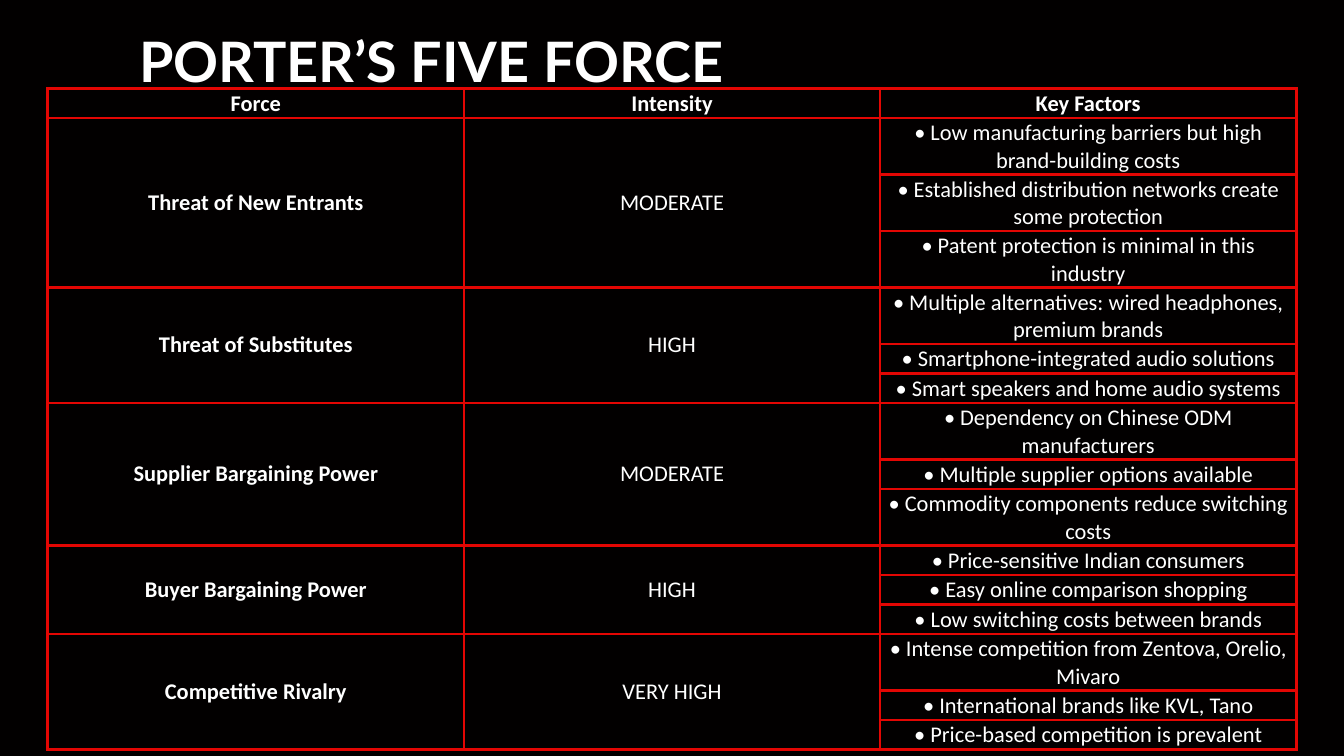
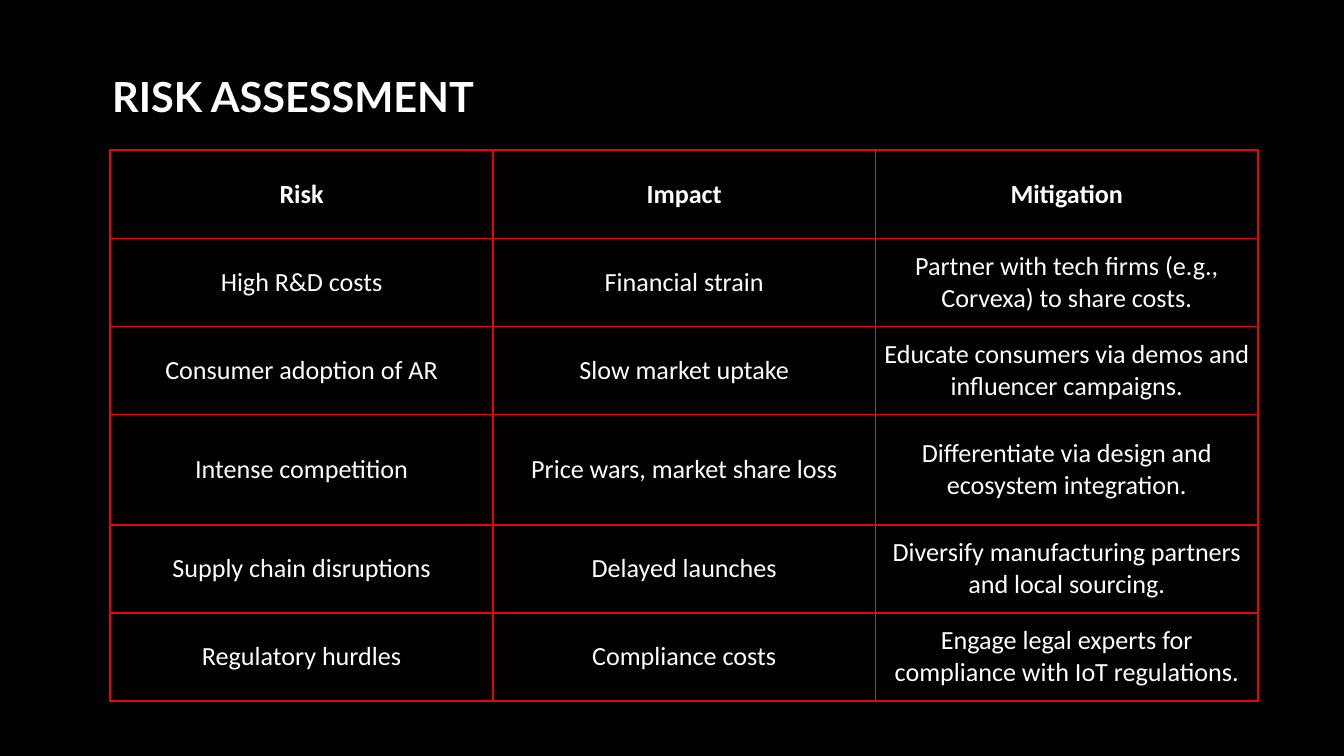
from itertools import product

from lxml.etree import SubElement
from pptx import Presentation
from pptx.dml.color import RGBColor
from pptx.enum.text import MSO_ANCHOR as Anchor, MSO_AUTO_SIZE as AutoSize, PP_ALIGN as Align
from pptx.oxml.ns import qn
from pptx.util import Inches, Pt

BLACK, WHITE, RED, GREY = "020000", "FFFFFF", "E30603", "595959"
TITLE_FONT, TABLE_FONT = "Lato", "Calibri"
TITLE_LEADING = 1.4

FORCE_HEADINGS = ["Force", "Intensity", "Key Factors"]
ONE_LINE, TWO_LINES = 0.41, 0.79
# Force, intensity, and each key factor with the height of its row
FORCES = [
    ("Threat of New Entrants", "MODERATE", [
        ("Low manufacturing barriers but high brand-building costs", TWO_LINES),
        ("Established distribution networks create some protection", TWO_LINES),
        ("Patent protection is minimal in this industry", TWO_LINES)]),
    ("Threat of Substitutes", "HIGH", [
        ("Multiple alternatives: wired headphones, premium brands", TWO_LINES),
        ("Smartphone-integrated audio solutions", ONE_LINE),
        ("Smart speakers and home audio systems", ONE_LINE)]),
    ("Supplier Bargaining Power", "MODERATE", [
        ("Dependency on Chinese ODM manufacturers", TWO_LINES),
        ("Multiple supplier options available", ONE_LINE),
        ("Commodity components reduce switching costs", TWO_LINES)]),
    ("Buyer Bargaining Power", "HIGH", [
        ("Price-sensitive Indian consumers", ONE_LINE),
        ("Easy online comparison shopping", ONE_LINE),
        ("Low switching costs between brands", ONE_LINE)]),
    ("Competitive Rivalry", "VERY HIGH", [
        ("Intense competition from Zentova, Orelio, Mivaro", TWO_LINES),
        ("International brands like KVL, Tano", ONE_LINE),
        ("Price-based competition is prevalent", ONE_LINE)]),
]

RISK_HEADINGS = ["Risk", "Impact", "Mitigation"]
RISKS = [
    ("High R&D costs", "Financial strain",
     "Partner with tech firms (e.g., Corvexa) to share costs."),
    ("Consumer adoption of AR", "Slow market uptake",
     "Educate consumers via demos and influencer campaigns."),
    ("Intense competition", "Price wars, market share loss",
     "Differentiate via design and ecosystem integration."),
    ("Supply chain disruptions", "Delayed launches",
     "Diversify manufacturing partners and local sourcing."),
    ("Regulatory hurdles", "Compliance costs",
     "Engage legal experts for compliance with IoT regulations."),
]
RISK_ROW_HEIGHTS = [1.32, 1.31, 1.31, 1.64, 1.31, 1.31]


def color(value):
    return RGBColor.from_string(value)


def add_span(para, text, font, size, bold):
    span = para.add_run()
    span.text = text
    span.font.name = font
    span.font.size = Pt(size)
    span.font.bold = bold
    span.font.color.rgb = color(WHITE)


def add_page(deck):
    page = deck.slides.add_slide(deck.slide_layouts[6])
    page.background.fill.solid()
    page.background.fill.fore_color.rgb = color(BLACK)
    return page


def add_title(page, text, box, size):
    frame = page.shapes.add_textbox(*map(Inches, box)).text_frame
    frame.word_wrap = True
    frame.auto_size = AutoSize.SHAPE_TO_FIT_TEXT
    frame.margin_left = frame.margin_right = frame.margin_top = frame.margin_bottom = 0
    para = frame.paragraphs[0]
    para.line_spacing = Pt(size * TITLE_LEADING)
    add_span(para, text, TITLE_FONT, size, True)


def set_borders(cell, width, colors):
    """Draw the left, right, top and bottom borders in the given colours."""
    properties = cell._tc.get_or_add_tcPr()
    for index, (side, value) in enumerate(zip("LRTB", colors)):
        line = SubElement(properties, qn(f"a:ln{side}"), w=str(Pt(width)))
        fill = SubElement(line, qn("a:solidFill"))
        SubElement(fill, qn("a:srgbClr"), val=value)
        properties.insert(index, line)


def add_grid(page, box, row_heights, columns, border, inset):
    """Add an unfilled table of equal columns with red borders."""
    table = page.shapes.add_table(len(row_heights), columns, *map(Inches, box)).table
    table.first_row = table.horz_banding = False
    for column in table.columns:
        column.width = Inches(box[2] / columns)
    for row, height in zip(table.rows, row_heights):
        row.height = Inches(height)
    for cell in table.iter_cells():
        cell.fill.background()
        cell.vertical_anchor = Anchor.MIDDLE
        cell.margin_left = cell.margin_right = Inches(inset)
        cell.margin_top = cell.margin_bottom = Inches(inset / 2)
        set_borders(cell, border, [RED] * 4)
    return table


def write_cell(cell, text, size, bold=False):
    para = cell.text_frame.paragraphs[0]
    para.alignment = Align.CENTER
    add_span(para, text, TABLE_FONT, size, bold)


def write_headings(table, headings, size):
    for column, heading in enumerate(headings):
        write_cell(table.cell(0, column), heading, size, True)


def add_force_table(page, box, size=24):
    heights = [ONE_LINE] + [height for force in FORCES for _, height in force[2]]
    table = add_grid(page, box, heights, len(FORCE_HEADINGS), 3, 0.04)
    write_headings(table, FORCE_HEADINGS, size)
    top = 1
    for force, intensity, factors in FORCES:
        bottom = top + len(factors) - 1
        for column, text in enumerate((force, intensity)):
            table.cell(top, column).merge(table.cell(bottom, column))
            write_cell(table.cell(top, column), text, size, column == 0)
        for row, (factor, _) in enumerate(factors, top):
            write_cell(table.cell(row, 2), f"• {factor}", size)
        top = bottom + 1


def add_risk_table(page, box, size=28):
    table = add_grid(page, box, RISK_ROW_HEIGHTS, len(RISK_HEADINGS), 2.25, 0.06)
    write_headings(table, RISK_HEADINGS, size)
    for row, texts in enumerate(RISKS, 1):
        for column, text in enumerate(texts):
            write_cell(table.cell(row, column), text, size)
    # The divider before the mitigation column is thin and grey
    for row, (column, side) in product(range(len(RISK_ROW_HEIGHTS)), [(1, "R"), (2, "L")]):
        line = table.cell(row, column)._tc.tcPr.find(qn(f"a:ln{side}"))
        line.set("w", str(Pt(1)))
        line.find(".//" + qn("a:srgbClr")).set("val", GREY)


def add_forces_page(deck):
    page = add_page(deck)
    add_title(page, "PORTER’S FIVE FORCE", (2.07, 0.23, 12.28, 1.12), 59.7)
    add_force_table(page, (0.71, 1.32, 18.58, 9.87))


def add_risks_page(deck):
    page = add_page(deck)
    add_title(page, "RISK ASSESSMENT", (1.67, 0.93, 13.19, 0.84), 44.4)
    add_risk_table(page, (1.64, 2.23, 17.08, 8.19))


def main():
    deck = Presentation()
    deck.slide_width, deck.slide_height = Inches(20), Inches(11.25)
    add_forces_page(deck)
    add_risks_page(deck)
    deck.save("out.pptx")


if __name__ == "__main__":
    main()
